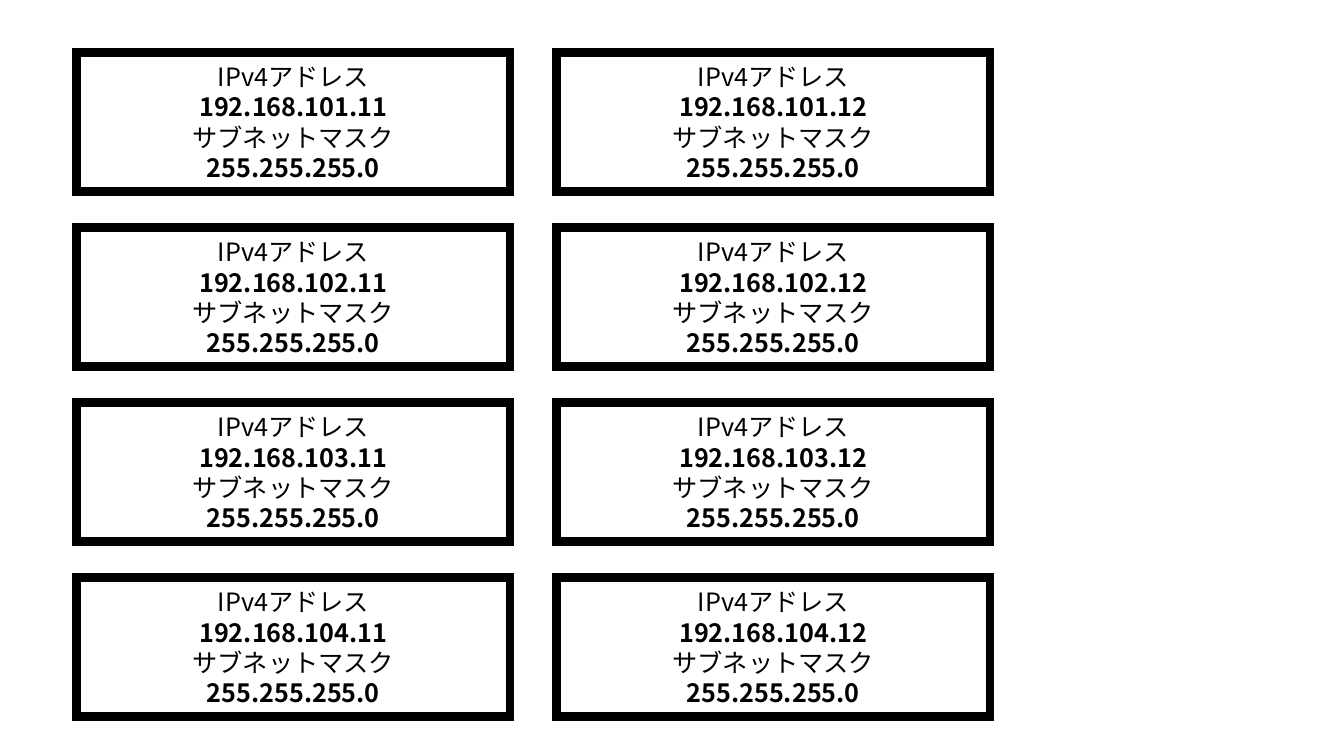
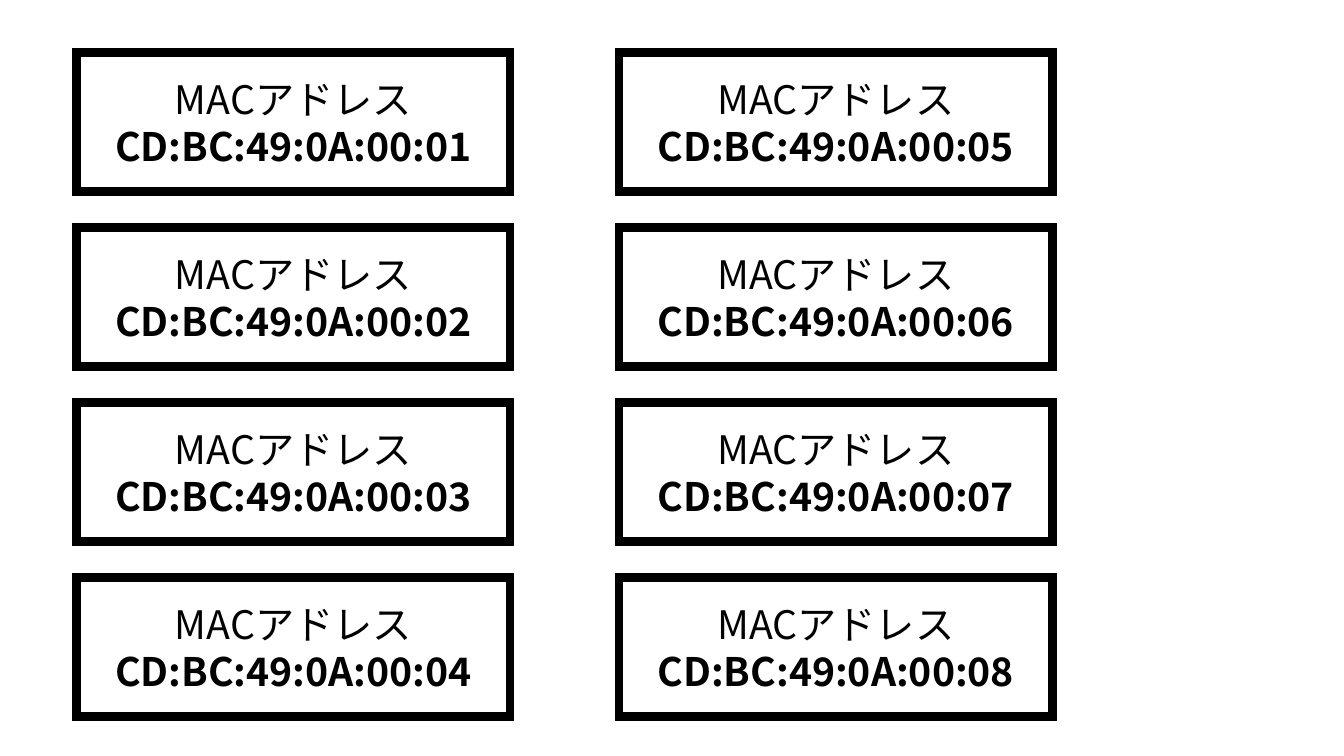
import lxml.etree
import pptx
import pptx.dml.color
import pptx.enum.shapes
import pptx.enum.text
import pptx.oxml.ns
import pptx.util

Inches = pptx.util.Inches
Pt = pptx.util.Pt
qn = pptx.oxml.ns.qn

COLORS = {"ink": "000000", "paper": "FFFFFF"}
FONT = "Noto Sans CJK JP"

# Label grid
ROWS = 4
LEFT, TOP, LAST_TOP = 0.76, 0.52, 5.73
ROW_PITCH = (LAST_TOP - TOP) / (ROWS - 1)
LABEL_WIDTH, LABEL_HEIGHT = 4.3, 1.38


def color(name):
    return pptx.dml.color.RGBColor.from_string(COLORS[name])


class LabelDeck:
    """Holds the shared label style and the current slide."""

    def __init__(self):
        self.presentation = pptx.Presentation()
        self.presentation.slide_width = Inches(13.33)
        self.presentation.slide_height = Inches(7.5)
        self.slide = None

    def add_slide(self):
        blank = self.presentation.slide_layouts[6]
        self.slide = self.presentation.slides.add_slide(blank)
        background = self.slide.background.fill
        background.solid()
        background.fore_color.rgb = color("paper")

    def add_line(self, paragraph, text, size, bold):
        paragraph.text = text
        paragraph.alignment = pptx.enum.text.PP_ALIGN.CENTER
        paragraph.font.size = Pt(size)
        paragraph.font.bold = bold
        paragraph.font.color.rgb = color("ink")
        paragraph.font.name = FONT
        # Japanese glyphs take the East Asian typeface
        properties = paragraph._p.find(".//" + qn("a:defRPr"))
        lxml.etree.SubElement(properties, qn("a:ea"), typeface=FONT)

    def add_label(self, left, top, fields, size):
        """Draw a framed label; each field is a plain caption and a bold value."""
        shape = self.slide.shapes.add_shape(
            pptx.enum.shapes.MSO_SHAPE.RECTANGLE,
            Inches(left), Inches(top), Inches(LABEL_WIDTH), Inches(LABEL_HEIGHT))
        shape.shadow.inherit = False
        shape.fill.background()
        shape.line.color.rgb = color("ink")
        shape.line.width = Pt(6)
        # Square frame corners
        outline = shape._element.spPr.find(qn("a:ln"))
        lxml.etree.SubElement(outline, qn("a:miter"), lim="800000")

        frame = shape.text_frame
        frame.word_wrap = True
        frame.vertical_anchor = pptx.enum.text.MSO_ANCHOR.MIDDLE
        lines = [(text, bold) for field in fields
                 for text, bold in zip(field, (False, True))]
        for index, (text, bold) in enumerate(lines):
            paragraph = frame.add_paragraph() if index else frame.paragraphs[0]
            self.add_line(paragraph, text, size, bold)

    def add_label_grid(self, second_left, fields_at, size):
        """Fill two columns; fields_at(column, row) gives a label's fields."""
        for column, left in enumerate((LEFT, second_left)):
            for row in range(ROWS):
                self.add_label(left, TOP + row * ROW_PITCH,
                               fields_at(column, row), size)


def ip_fields(column, row):
    return [("IPv4アドレス", f"192.168.{101 + row}.{11 + column}"),
            ("サブネットマスク", "255.255.255.0")]


def mac_fields(column, row):
    number = column * ROWS + row + 1
    return [("MACアドレス", f"CD:BC:49:0A:00:{number:02X}")]


def main():
    deck = LabelDeck()

    # Slide 1: IP address labels
    deck.add_slide()
    deck.add_label_grid(5.52, ip_fields, 18)

    # Slide 2: MAC address labels
    deck.add_slide()
    deck.add_label_grid(6.14, mac_fields, 28)

    deck.presentation.save("out.pptx")


if __name__ == "__main__":
    main()
